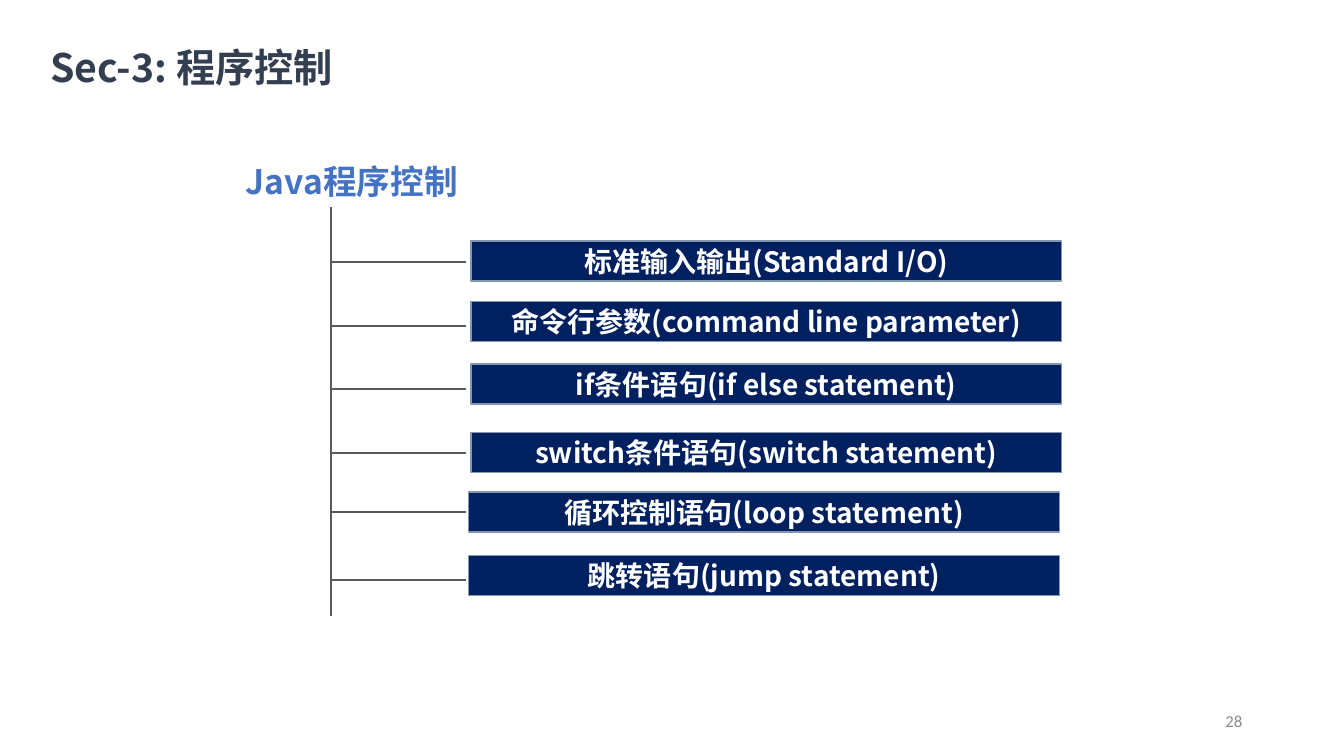
import pptx
import pptx.dml.color
import pptx.enum.shapes
import pptx.enum.text
import pptx.oxml
import pptx.oxml.ns
import pptx.util
import lxml.etree

Inches = pptx.util.Inches
Pt = pptx.util.Pt
ALIGN = pptx.enum.text.PP_ALIGN
ANCHOR = pptx.enum.text.MSO_ANCHOR

FONT = "Noto Sans CJK SC"
NAVY, STEEL, GREY, WHITE = "002060", "8497B0", "595959", "FFFFFF"

TITLE = "Sec-3: 程序控制"
ROOT = "Java程序控制"
PAGE_NUMBER = "28"
TOPICS = [
    ("标准输入输出(Standard I/O)", 4.67, 2.39, 2.6),
    ("命令行参数(command line parameter)", 4.67, 2.99, 3.23),
    ("if条件语句(if else statement)", 4.67, 3.61, 3.86),
    ("switch条件语句(switch statement)", 4.67, 4.29, 4.49),
    ("循环控制语句(loop statement)", 4.65, 4.88, 5.08),
    ("跳转语句(jump statement)", 4.65, 5.51, 5.75),
]
TRUNK_X, TRUNK_TOP, TRUNK_BOTTOM = 3.28, 2.05, 6.11
BRANCH_LENGTH = 1.34
BAR_WIDTH, BAR_HEIGHT = 5.86, 0.4


def color(value):
    return pptx.dml.color.RGBColor.from_string(value)


def write(shape, text, size, ink, bold=True, font=FONT, align=ALIGN.LEFT, anchor=ANCHOR.TOP):
    frame = shape.text_frame
    frame.text = text
    frame.word_wrap = True
    frame.vertical_anchor = anchor
    para = frame.paragraphs[0]
    para.alignment = align
    span = para.runs[0]
    span.font.size = Pt(size)
    span.font.bold = bold
    span.font.color.rgb = color(ink)
    span.font.name = font
    properties = span.font._element
    east_asian = lxml.etree.SubElement(properties, pptx.oxml.ns.qn("a:ea"))
    east_asian.set("typeface", font)
    return frame


def add_text(page, place, *content, **style):
    box = page.shapes.add_textbox(*map(Inches, place))
    return write(box, *content, **style)


def add_line(page, *ends):
    line = page.shapes.add_connector(
        pptx.enum.shapes.MSO_CONNECTOR.STRAIGHT, *map(Inches, ends))
    line.line.color.rgb = color(GREY)
    line.line.width = Pt(1.5)
    lxml.etree.SubElement(line._element.spPr, pptx.oxml.ns.qn("a:effectLst"))


def add_bar(page, text, left, top):
    bar = page.shapes.add_shape(
        pptx.enum.shapes.MSO_SHAPE.RECTANGLE,
        *map(Inches, (left, top, BAR_WIDTH, BAR_HEIGHT)))
    bar.shadow.inherit = False
    bar.fill.solid()
    bar.fill.fore_color.rgb = color(NAVY)
    bar.line.color.rgb = color(STEEL)
    bar.line.width = Pt(1)
    write(bar, text, 20, WHITE, align=ALIGN.CENTER, anchor=ANCHOR.MIDDLE)


def main():
    deck = pptx.Presentation()
    deck.slide_width, deck.slide_height = Inches(13.33), Inches(7.5)
    page = deck.slides.add_slide(deck.slide_layouts[6])

    title = add_text(page, (0.5, 0.42, 6.48, 0.48), TITLE, 28, "333F50")
    title.margin_left = title.margin_right = title.margin_bottom = 0
    title.margin_top = Inches(0.01)
    add_text(page, (2.34, 1.55, 3.94, 0.5), ROOT, 24, "4472C4")
    add_text(page, (9.42, 6.95, 3, 0.4), PAGE_NUMBER, 12, "8C8C8C", bold=False,
             font="Calibri", align=ALIGN.RIGHT, anchor=ANCHOR.MIDDLE)

    add_line(page, TRUNK_X, TRUNK_TOP, TRUNK_X, TRUNK_BOTTOM)
    for text, left, top, branch_y in TOPICS:
        add_line(page, TRUNK_X, branch_y, TRUNK_X + BRANCH_LENGTH, branch_y)
        add_bar(page, text, left, top)

    deck.save("out.pptx")


if __name__ == "__main__":
    main()
